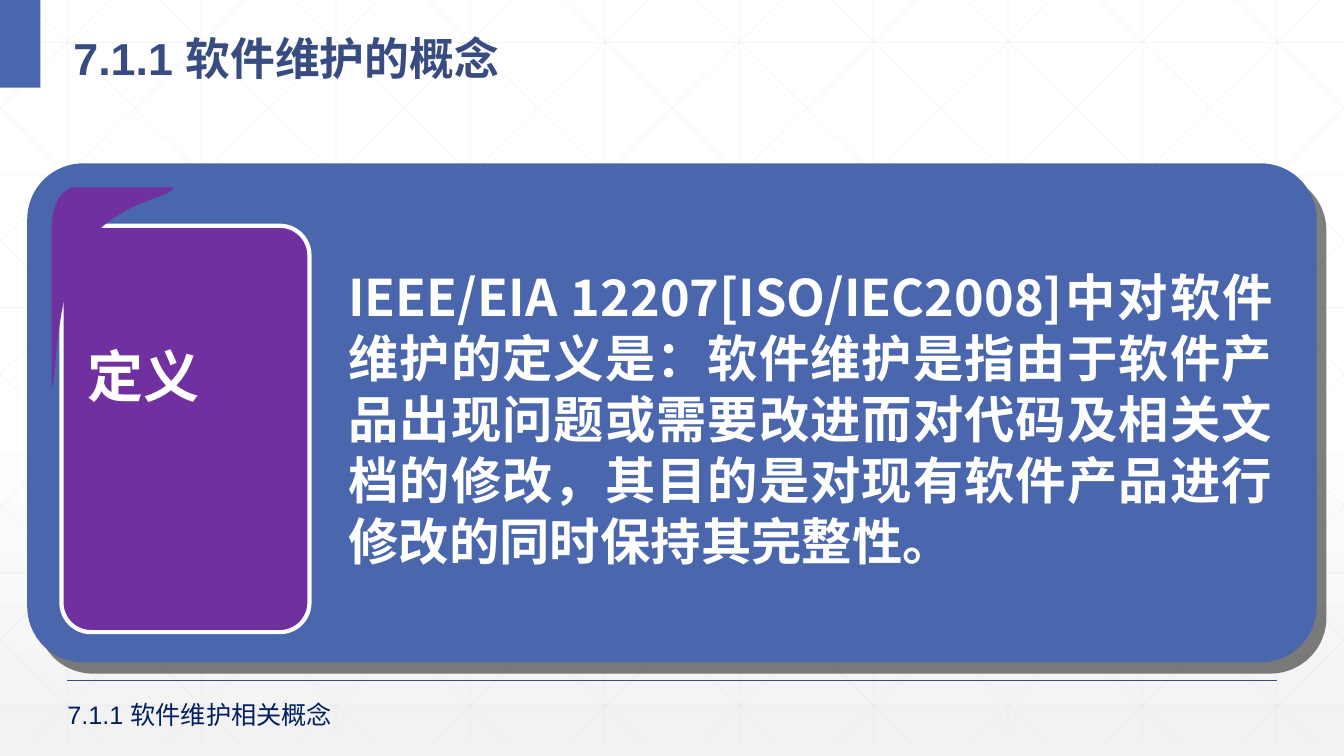
import pptx
import pptx.util
import pptx.dml.color
import pptx.enum.shapes
import pptx.enum.text
import pptx.oxml
import pptx.oxml.ns

Cm = pptx.util.Cm
Pt = pptx.util.Pt
FORM = pptx.enum.shapes.MSO_SHAPE
ANCHOR = pptx.enum.text.MSO_ANCHOR
ALIGN = pptx.enum.text.PP_ALIGN
qn = pptx.oxml.ns.qn

WIDE, HIGH = 33.87, 19.05
FOOT = 18.72
SLANT = 18.94
STEP = WIDE / 10
BLUE, NAVY, PURPLE, WHITE = "4A66AC", "384C81", "7030A0", "FFFFFF"
NOTO = "Noto Sans CJK SC"
BODY = ("IEEE/EIA 12207[ISO/IEC2008]中对软件维护的定义是：软件维护是指由于软件"
        "产品出现问题或需要改进而对代码及相关文档的修改，其目的是对现有软件产品进行"
        "修改的同时保持其完整性。")


def tint(color, code):
    """Set a colour from a hex string."""
    color.rgb = pptx.dml.color.RGBColor.from_string(code)


def node(text):
    """Parse a fragment in the drawing namespace."""
    head, tail = text.split(" ", 1)
    return pptx.oxml.parse_xml(
        f'{head} xmlns:a="http://schemas.openxmlformats.org/drawingml/2006/main" {tail}')


def shade(angle, gap, alpha):
    """Return a hard black shadow."""
    return node(f'<a:outerShdw blurRad="0" dist="{int(Pt(gap))}" dir="{angle * 60000}" '
                f'algn="ctr" rotWithShape="0"><a:srgbClr val="000000">'
                f'<a:alpha val="{alpha * 1000}"/></a:srgbClr></a:outerShdw>')


def dress(shape, fill, edge=None):
    """Give a shape its fill and edge, without shadow."""
    shape.shadow.inherit = False
    shape.fill.solid()
    tint(shape.fill.fore_color, fill)
    if edge:
        tint(shape.line.color, edge)
        shape.line.width = Pt(3)
    else:
        shape.line.fill.background()
    return shape


def block(shapes, form, box, fill, edge=None, round=None):
    """Add a preset shape."""
    shape = shapes.add_shape(form, *map(Cm, box))
    if round:
        shape.adjustments[0] = round
    return dress(shape, fill, edge)


def rule(shapes, start, end, code, width, alpha=None):
    """Add a straight line."""
    line = shapes.add_connector(pptx.enum.shapes.MSO_CONNECTOR.STRAIGHT,
                                *map(Cm, (*start, *end)))
    tint(line.line.color, code)
    line.line.width = Pt(width)
    props = line._element.spPr
    if alpha:
        props.find(".//" + qn("a:srgbClr")).append(
            node(f'<a:alpha val="{alpha * 1000}"/>'))
    props.append(node("<a:effectLst />"))


def label(shapes, box, text, size, code, font=NOTO, bold=True, anchor=ANCHOR.MIDDLE):
    """Add a text box and return it."""
    shape = shapes.add_textbox(*map(Cm, box))
    frame = shape.text_frame
    frame.word_wrap = True
    frame.vertical_anchor = anchor
    frame.text = text
    face = frame.paragraphs[0].runs[0].font
    face.size, face.bold, face.name = Pt(size), bold, font
    tint(face.color, code)
    face._element.find(qn("a:latin")).addnext(node(f'<a:ea typeface="{NOTO}"/>'))
    return shape


def slope(shapes, top, span):
    """Add a slanted line, cut at the slide edges."""
    ends = sorted((-top / span, (WIDE - top) / span))
    low, high = max(0, ends[0]), min(1, ends[1])
    start, end = ((top + span * t, FOOT * t) for t in (low, high))
    rule(shapes, start, end, "D9D9D9", 0.5, 25)


def mesh(shapes):
    """Draw the faint lattice."""
    for i in range(10):
        x = STEP * (i + 0.5)
        rule(shapes, (x, 0), (x, FOOT), "D9D9D9", 0.5, 25)
    for i in range(6):
        y = 1.07 + 3.34 * i
        rule(shapes, (0, y), (WIDE, y), "D9D9D9", 0.5, 25)
    for i in range(15):
        slope(shapes, 0.64 + STEP * (i - 5), SLANT)
        slope(shapes, 2.77 + STEP * i, -SLANT)


def curve(a, b, c, d, count=16):
    """Return points along a cubic curve after its start."""
    steps = [i / count for i in range(1, count + 1)]
    return [tuple((1 - t) ** 3 * p + 3 * (1 - t) ** 2 * t * q
                  + 3 * (1 - t) * t * t * r + t ** 3 * s
                  for p, q, r, s in zip(a, b, c, d)) for t in steps]


def horn(shapes):
    """Draw the curved corner."""
    start, side, base, mid = (1.9, 4.72), (1.3, 5.74), (1.3, 9.75), (2.13, 6.22)
    dots = (curve(start, (1.57, 4.72), (1.3, 5.18), side) + [base]
            + curve(base, (1.42, 9.83), (1.35, 7.37), mid)
            + curve(mid, (2.92, 5.05), (4.39, 4.98), (4.37, 4.72)))
    pen = shapes.build_freeform(*map(Cm, start))
    pen.add_line_segments([tuple(map(Cm, dot)) for dot in dots], close=True)
    dress(pen.convert_to_shape(), PURPLE)


def card(shapes):
    """Draw the panel with its term and meaning."""
    panel = block(shapes, FORM.ROUNDED_RECTANGLE, (0.74, 4.17, 32.39, 12.47),
                  BLUE, BLUE, 0.109)
    panel._element.spPr.find(qn("a:effectLst")).append(shade(49, 10.6, 50))
    block(shapes, FORM.ROUNDED_RECTANGLE, (1.55, 5.69, 6.25, 10.24), PURPLE, WHITE, 0.119)
    horn(shapes)

    term = label(shapes, (1.96, 7.59, 5.41, 2.72), "定义", 40, WHITE, anchor=ANCHOR.BOTTOM)
    term.text_frame.margin_bottom = 0
    glow = node("<a:effectLst />")
    glow.append(shade(45, 2.5, 100))
    face = term.text_frame.paragraphs[0].runs[0].font
    face._element.find(qn("a:solidFill")).addnext(glow)

    text = label(shapes, (8.53, 6.48, 23.8, 7.95), BODY, 36, WHITE, anchor=ANCHOR.TOP)
    text.text_frame.margin_top = Cm(0.2)
    para = text.text_frame.paragraphs[0]
    para.alignment = ALIGN.JUSTIFY
    para.line_spacing = Pt(43.6)


def main():
    """Build and save the slide."""
    deck = pptx.Presentation()
    deck.slide_width, deck.slide_height = Cm(WIDE), Cm(HIGH)
    slide = deck.slides.add_slide(deck.slide_layouts[6])
    shapes = slide.shapes

    fill = slide.background.fill
    fill.gradient()
    fill.gradient_angle = 270
    for stop, place, code in zip(fill.gradient_stops, (0.53, 1), (WHITE, "F2F2F2")):
        stop.position = place
        tint(stop.color, code)

    mesh(shapes.add_group_shape().shapes)
    rule(shapes, (1.69, 17.15), (32.18, 17.15), NAVY, 1)
    block(shapes, FORM.RECTANGLE, (0, 0, 1.02, 2.21), BLUE)
    title = label(shapes, (1.6, 0.33, 30.23, 1.85), "7.1.1 软件维护的概念", 32, NAVY, "Arial")
    title.text_frame.paragraphs[0].line_spacing = 1.3
    card(shapes.add_group_shape().shapes)
    label(shapes, (1.45, 17.5, 9.8, 1.02), "7.1.1 软件维护相关概念", 18, "002060", "Arial", False)
    deck.save("out.pptx")


if __name__ == "__main__":
    main()
